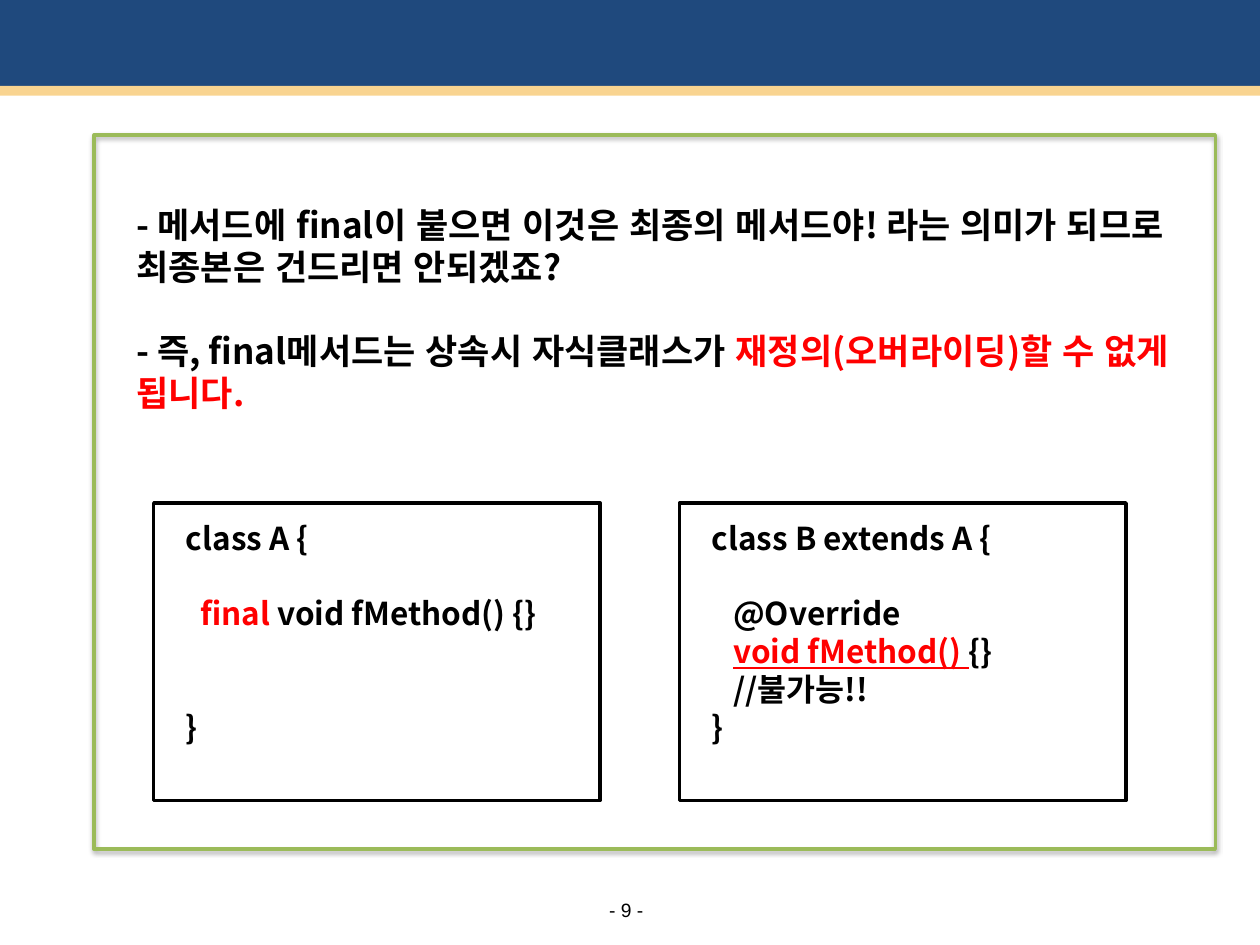
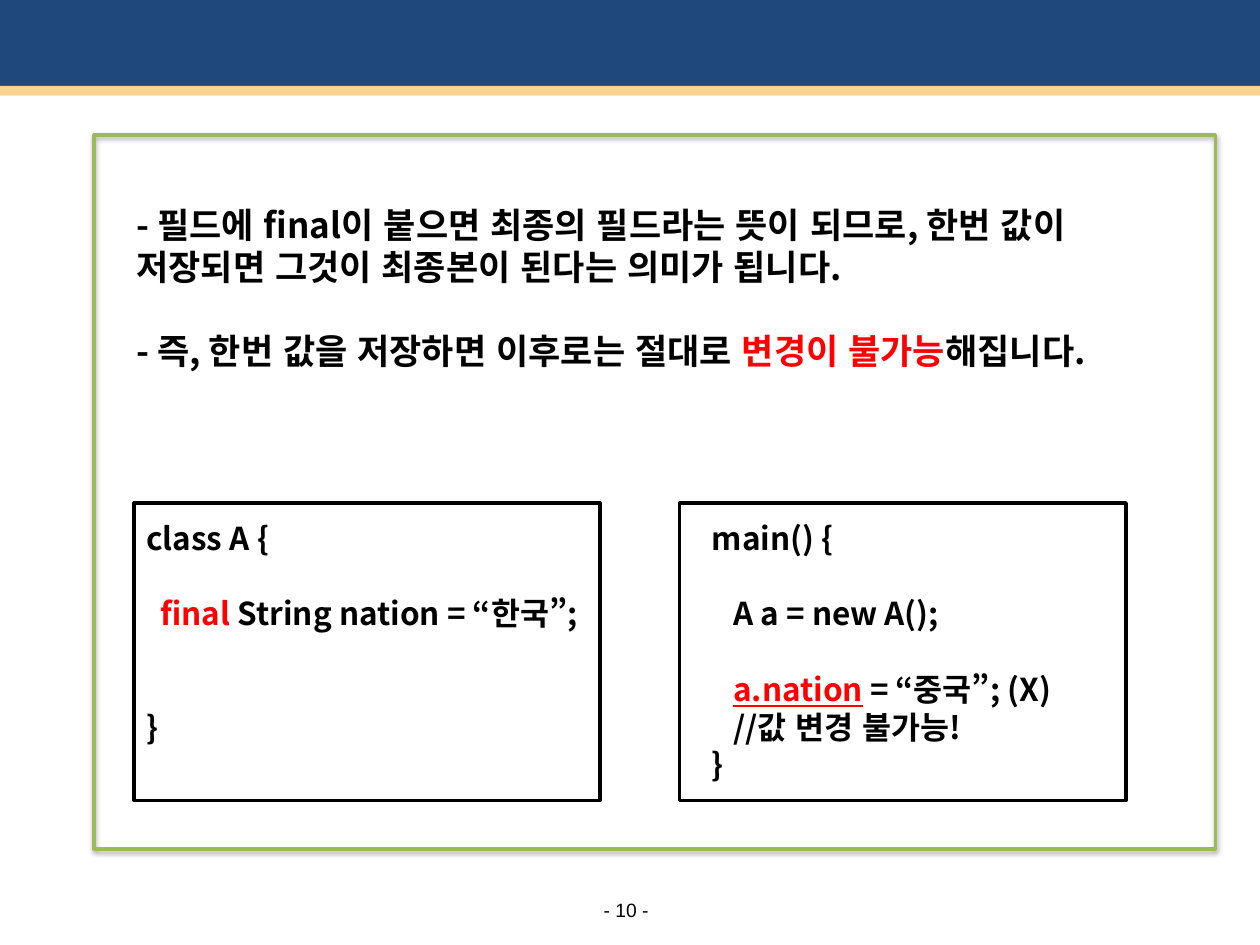
from pptx import Presentation
from pptx import util as u
from pptx.dml import color
from pptx.enum import lang, shapes, text
from pptx.oxml import parse_xml
from pptx.oxml.ns import nsdecls, qn
from lxml import etree

NAVY, SAND, GREEN = "1F497D", "F9D490", "9BBB59"
BLACK, RED = "000000", "FF0000"
RECT = shapes.MSO_SHAPE.RECTANGLE
PROCESS = shapes.MSO_SHAPE.FLOWCHART_PROCESS

FOOTER = {"name": "Arial", "size": u.Pt(11)}
BODY = {"name": "Noto Sans CJK KR", "size": u.Pt(20), "bold": True}
CODE = {**BODY, "size": u.Pt(18)}
UNDERLINED = {"underline": True}


def rgb(value):
    return color.RGBColor.from_string(value)


def write(s, at, paragraphs, fmt):
    tf = s.shapes.add_textbox(*map(u.Cm, at)).text_frame
    tf.word_wrap = True
    for i, (blank_lines, runs) in enumerate(paragraphs):
        p = tf.paragraphs[0] if i == 0 else tf.add_paragraph()
        if blank_lines:
            p.space_before = u.Pt(blank_lines * fmt["size"].pt * 1.2)
        for words, shade, *extra in runs:
            r = p.add_run()
            r.text = words
            r.font.language_id = lang.MSO_LANGUAGE_ID.KOREAN
            r.font.fill.solid()
            r.font.fill.fore_color.rgb = rgb(shade)
            for key, value in {**fmt, **(extra[0] if extra else {})}.items():
                setattr(r.font, key, value)
            etree.SubElement(r.font._element, qn("a:ea")).set("typeface", fmt["name"])
    return tf


pages = [
    {
        "number": 9,
        "body": [
            (0, [("- 메서드에 final이 붙으면 이것은 최종의 메서드야! 라는 의미가 되므로 최종본은 건드리면 안되겠죠?", BLACK)]),
            (1, [("- 즉, final메서드는 상속시 자식클래스가", BLACK),
                 (" 재정의(오버라이딩)할 수 없게 됩니다.", RED)]),
        ],
        "left_box": (3.1, 9),
        "left_text": (3.5, 8.2),
        "left_code": [
            (0, [("class A {", BLACK)]),
            (1, [("  ", BLACK), ("final ", RED), ("void fMethod() {}", BLACK)]),
            (2, [("}", BLACK)]),
        ],
        "right_code": [
            (0, [("class B extends A {", BLACK)]),
            (1, [("   @Override", BLACK)]),
            (0, [("   ", BLACK), ("void fMethod() ", RED, UNDERLINED), ("{}", BLACK)]),
            (0, [("   //불가능!!", BLACK)]),
            (0, [("}", BLACK)]),
        ],
    },
    {
        "number": 10,
        "body": [
            (0, [("- 필드에 final이 붙으면 최종의 필드라는 뜻이 되므로, 한번 값이 저장되면 그것이 최종본이 된다는 의미가 됩니다.", BLACK)]),
            (1, [("- 즉, 한번 값을 저장하면 이후로는 절대로 ", BLACK),
                 ("변경이 불가능", RED), ("해집니다.", BLACK)]),
        ],
        "left_box": (2.7, 9.4),
        "left_text": (2.7, 9.6),
        "left_code": [
            (0, [("class A {", BLACK)]),
            (1, [("  ", BLACK), ("final ", RED), ("String nation = “한국”;", BLACK)]),
            (2, [("}", BLACK)]),
        ],
        "right_code": [
            (0, [("main() {", BLACK)]),
            (1, [("   A a = new A();", BLACK)]),
            (1, [("   ", BLACK), ("a.nation", RED, UNDERLINED), (" = “중국”; (X)", BLACK)]),
            (0, [("   //값 변경 불가능!", BLACK)]),
            (0, [("}", BLACK)]),
        ],
    },
]

prs = Presentation()
prs.slide_width, prs.slide_height = u.Cm(25.4), u.Cm(19.05)

for page in pages:
    s = prs.slides.add_slide(prs.slide_layouts[6])
    left, width = page["left_box"]
    for kind, at, fill, line in [
        (RECT, (0, 0, 25.4, 1.85), NAVY, None),
        (RECT, (0, 1.73, 25.4, 0.2), SAND, None),
        (PROCESS, (1.9, 2.72, 22.6, 14.4), None, GREEN),
        (PROCESS, (left, 10.14, width, 6), None, BLACK),
        (PROCESS, (13.7, 10.14, 9, 6), None, BLACK),
    ]:
        sp = s.shapes.add_shape(kind, *map(u.Cm, at))
        sp.shadow.inherit = False
        if fill:
            sp.fill.solid()
            sp.fill.fore_color.rgb = rgb(fill)
            sp.line.fill.background()
        else:
            sp.fill.background()
            sp.line.color.rgb = rgb(line)
            sp.line.width = u.Pt(2)
        if line == GREEN:
            sp._element.spPr.find(qn("a:effectLst")).append(parse_xml(
                f'<a:outerShdw {nsdecls("a")} blurRad="39370" dist="22860" dir="5400000" rotWithShape="0">'
                f'<a:srgbClr val="{BLACK}"><a:alpha val="35000"/></a:srgbClr></a:outerShdw>'))

    write(s, (2.5, 3.98, 22, 4.47), page["body"], BODY)
    left, width = page["left_text"]
    write(s, (left, 10.33, width, 4.83), page["left_code"], CODE)
    write(s, (14.1, 10.33, 8.2, 5.59), page["right_code"], CODE)

    tf = write(s, (12.08, 18.11, 1.09, 0.48), [(0, [(f"- {page['number']} -", BLACK)])], FOOTER)
    tf.word_wrap = False
    tf.vertical_anchor = text.MSO_ANCHOR.MIDDLE
    tf.margin_left = tf.margin_right = tf.margin_top = tf.margin_bottom = 0
    tf.paragraphs[0].alignment = text.PP_ALIGN.CENTER

prs.save("out.pptx")
